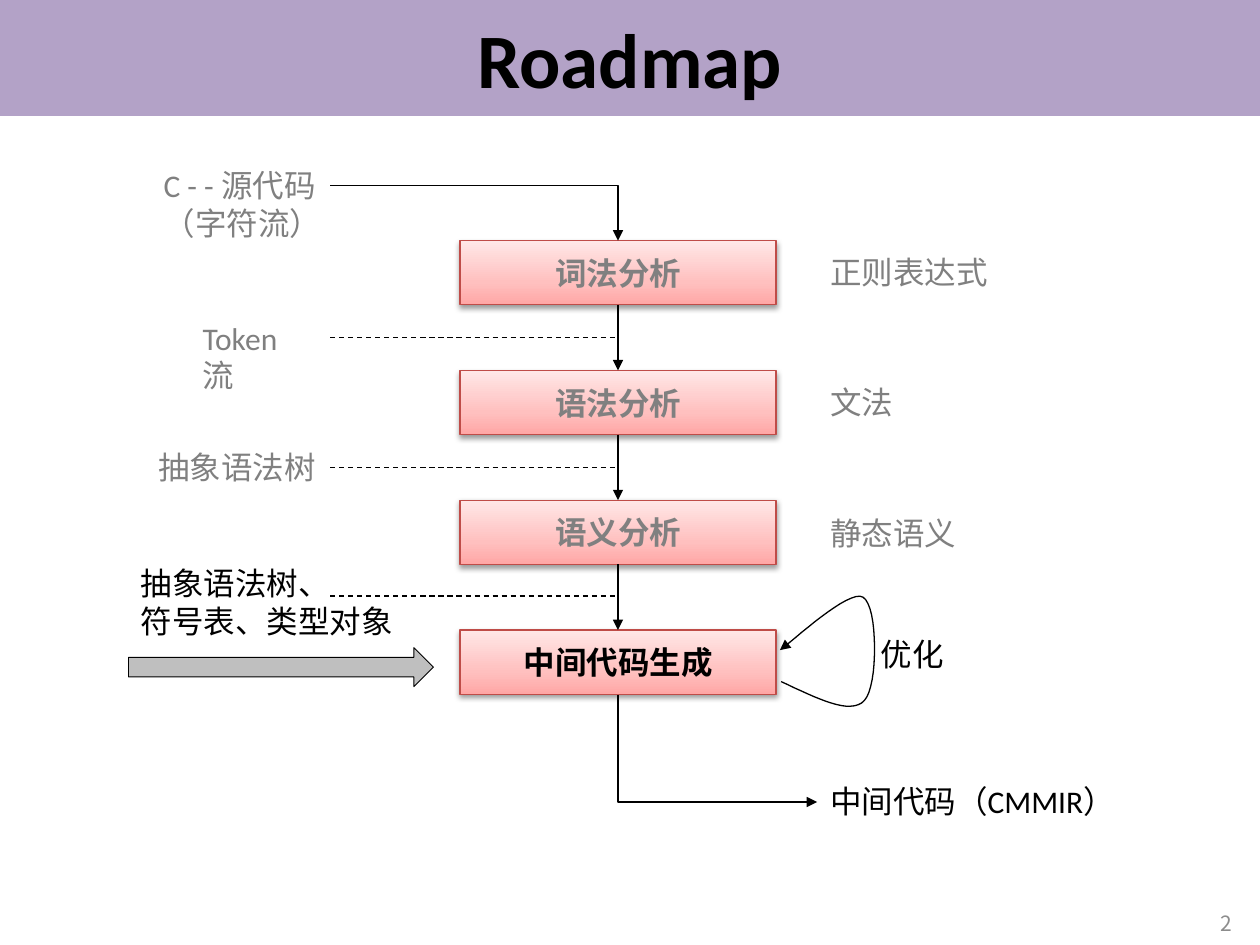
"""Build the compiler roadmap slide."""
import copy
from dataclasses import dataclass

import lxml.etree
import pptx
import pptx.dml.color
import pptx.enum.dml
import pptx.enum.shapes
import pptx.enum.text
import pptx.oxml.ns
import pptx.util

Inches = pptx.util.Inches
Pt = pptx.util.Pt
RGBColor = pptx.dml.color.RGBColor
SHAPE = pptx.enum.shapes.MSO_SHAPE
CONNECTOR = pptx.enum.shapes.MSO_CONNECTOR
ALIGN = pptx.enum.text.PP_ALIGN
ANCHOR = pptx.enum.text.MSO_ANCHOR
qn = pptx.oxml.ns.qn

BLACK = RGBColor(0x00, 0x00, 0x00)
GRAY = RGBColor(0x80, 0x80, 0x80)
NUMBER_GRAY = RGBColor(0x8C, 0x8C, 0x8C)
ARROW_GRAY = RGBColor(0xBF, 0xBF, 0xBF)
PURPLE = RGBColor(0xB3, 0xA2, 0xC7)
RED = RGBColor(0xBF, 0x4C, 0x48)
GRADIENT = (
    (0, RGBColor(0xFF, 0xA6, 0xA5)),
    (0.35, RGBColor(0xFF, 0xC0, 0xBF)),
    (1, RGBColor(0xFF, 0xE7, 0xE7)),
)

BOX_LEFT, BOX_TOP, BOX_W, BOX_H, PITCH = 3.65, 1.91, 2.51, 0.51, 1.03
MID_X = BOX_LEFT + BOX_W / 2
SIDE_X, RIGHT_X = 2.62, 6.49


@dataclass
class Label:
    text: str
    left: float
    top: float
    width: float
    height: float = 0.4
    color: RGBColor = GRAY
    wrap: bool = False


STAGES = (("词法分析", GRAY), ("语法分析", GRAY), ("语义分析", GRAY), ("中间代码生成", BLACK))
LABELS = (
    Label("C - - 源代码\n（字符流）", 1.2, 1.27, 1.52, 0.71, wrap=True),
    Label("Token 流", 1.51, 2.48, 1.05, wrap=True),
    Label("抽象语法树", 1.16, 3.51, 1.46),
    Label("抽象语法树、\n符号表、类型对象", 1.02, 4.43, 2.22, 0.71, BLACK),
    Label("正则表达式", RIGHT_X, 1.96, 1.46),
    Label("文法", RIGHT_X, 2.99, 0.71),
    Label("静态语义", RIGHT_X, 4.03, 1.21),
    Label("优化", 6.89, 4.99, 0.71, color=BLACK),
    Label("中间代码（CMMIR）", RIGHT_X, 6.16, 2.48, color=BLACK, wrap=True),
)
UNITS_PER_INCH = 1000
LOOP_START = (6.2, 5.41)
LOOP_CURVES = (
    ((6.48, 5.54), (6.75, 5.68), (6.86, 5.56)),
    ((6.97, 5.45), (6.97, 4.81), (6.85, 4.74)),
    ((6.74, 4.67), (6.29, 5.09), (6.19, 5.16)),
)


def format_text(tf, size: float, color: RGBColor, bold: bool = False,
                align=ALIGN.LEFT, name: str = "Calibri") -> None:
    for p in tf.paragraphs:
        p.alignment = align
        for r in p.runs:
            r.font.size, r.font.bold, r.font.name = Pt(size), bold, name
            r.font.color.rgb = color


def add_label(s, label: Label):
    sp = s.shapes.add_textbox(Inches(label.left), Inches(label.top),
                              Inches(label.width), Inches(label.height))
    tf = sp.text_frame
    tf.text = label.text
    tf.word_wrap = label.wrap
    tf.auto_size = pptx.enum.text.MSO_AUTO_SIZE.SHAPE_TO_FIT_TEXT
    format_text(tf, 18, label.color)
    return sp


def add_stage(s, top: float, text: str, color: RGBColor):
    sp = s.shapes.add_shape(SHAPE.RECTANGLE, Inches(BOX_LEFT), Inches(top),
                            Inches(BOX_W), Inches(BOX_H))
    sp.fill.gradient()
    sp.fill.gradient_angle = 90
    first = next(sp._element.spPr.iter(qn("a:gs")))
    first.addnext(copy.deepcopy(first))
    for stop, (position, rgb) in zip(sp.fill.gradient_stops, GRADIENT):
        stop.position, stop.color.rgb = position, rgb
    sp.line.color.rgb, sp.line.width = RED, Pt(0.75)
    sp.shadow.inherit = False
    shadow = lxml.etree.SubElement(
        sp._element.spPr.find(qn("a:effectLst")), qn("a:outerShdw"),
        blurRad=str(Pt(3.1)), dist=str(Pt(1.6)), dir="5400000", rotWithShape="0")
    rgb = lxml.etree.SubElement(shadow, qn("a:srgbClr"), val="000000")
    lxml.etree.SubElement(rgb, qn("a:alpha"), val="38000")
    sp.text_frame.text = text
    sp.text_frame.vertical_anchor = ANCHOR.MIDDLE
    format_text(sp.text_frame, 18, color, True, ALIGN.CENTER)
    return sp


def style_line(sp, arrow: bool = True) -> None:
    sp.line.color.rgb, sp.line.width = BLACK, Pt(0.75)
    if arrow:
        lxml.etree.SubElement(sp.line._get_or_add_ln(), qn("a:tailEnd"), type="triangle")
    else:
        sp.line.dash_style = pptx.enum.dml.MSO_LINE.DASH
    if sp._element.spPr.find(qn("a:effectLst")) is None:
        lxml.etree.SubElement(sp._element.spPr, qn("a:effectLst"))


def add_line(s, x1: float, y1: float, x2: float, y2: float,
             kind=CONNECTOR.STRAIGHT, arrow: bool = True):
    sp = s.shapes.add_connector(kind, Inches(x1), Inches(y1), Inches(x2), Inches(y2))
    if kind == CONNECTOR.ELBOW:
        sp._element.spPr.find(qn("a:prstGeom")).set("prst", "bentConnector2")
    style_line(sp, arrow)
    return sp


def curve_points(start, curves, steps: int = 16):
    yield start
    for a, b, end in curves:
        for i in range(1, steps + 1):
            t = i / steps
            u = 1 - t
            yield tuple(u**3 * p0 + 3 * u * u * t * p1 + 3 * u * t * t * p2 + t**3 * p3
                        for p0, p1, p2, p3 in zip(start, a, b, end))
        start = end


def add_loop(s) -> None:
    points = [(round(x * UNITS_PER_INCH), round(y * UNITS_PER_INCH))
              for x, y in curve_points(LOOP_START, LOOP_CURVES)]
    builder = s.shapes.build_freeform(*points[0], scale=Inches(1) / UNITS_PER_INCH)
    builder.add_line_segments(points[1:], close=False)
    sp = builder.convert_to_shape()
    sp.fill.background()
    sp.shadow.inherit = False
    style_line(sp)


def main() -> None:
    prs = pptx.Presentation()
    prs.slide_width, prs.slide_height = Inches(10), Inches(7.5)
    s = prs.slides.add_slide(prs.slide_layouts[5])

    title = s.shapes.title
    title.left, title.top, title.width, title.height = 0, 0, Inches(10), Inches(0.92)
    title.fill.solid()
    title.fill.fore_color.rgb = PURPLE
    title.text_frame.text = "Roadmap"
    title.text_frame.vertical_anchor = ANCHOR.MIDDLE
    format_text(title.text_frame, 44, BLACK, True, ALIGN.CENTER)

    number = s.shapes.add_textbox(Inches(7.55), Inches(7.13), Inches(2.33), Inches(0.4))
    number.text_frame.text = "2"
    number.text_frame.word_wrap = True
    number.text_frame.vertical_anchor = ANCHOR.MIDDLE
    format_text(number.text_frame, 12, NUMBER_GRAY, align=ALIGN.RIGHT, name="Noto Sans CJK SC")

    stages = [add_stage(s, BOX_TOP + i * PITCH, *stage) for i, stage in enumerate(STAGES)]
    for i, (upper, lower) in enumerate(zip(stages, stages[1:])):
        y = BOX_TOP + i * PITCH + BOX_H
        link = add_line(s, MID_X, y, MID_X, y + PITCH - BOX_H)
        link.begin_connect(upper, 2)
        link.end_connect(lower, 0)
    for y in (2.68, 3.71, 4.73):
        add_line(s, SIDE_X, y, MID_X, y, arrow=False)

    add_line(s, SIDE_X, 1.47, MID_X, BOX_TOP, CONNECTOR.ELBOW)
    output = add_line(s, 5.27, 5.15, 6.12, 6.73, CONNECTOR.ELBOW)
    xfrm = output._element.spPr.find(qn("a:xfrm"))
    xfrm.set("rot", "16200000")
    xfrm.set("flipH", "1")

    arrow = s.shapes.add_shape(SHAPE.RIGHT_ARROW, Inches(1.02), Inches(5.14),
                               Inches(2.42), Inches(0.31))
    arrow.fill.solid()
    arrow.fill.fore_color.rgb = ARROW_GRAY
    arrow.line.color.rgb, arrow.line.width = BLACK, Pt(0.5)
    arrow.shadow.inherit = False
    add_loop(s)
    for label in LABELS:
        add_label(s, label)
    prs.save("out.pptx")


if __name__ == "__main__":
    main()
